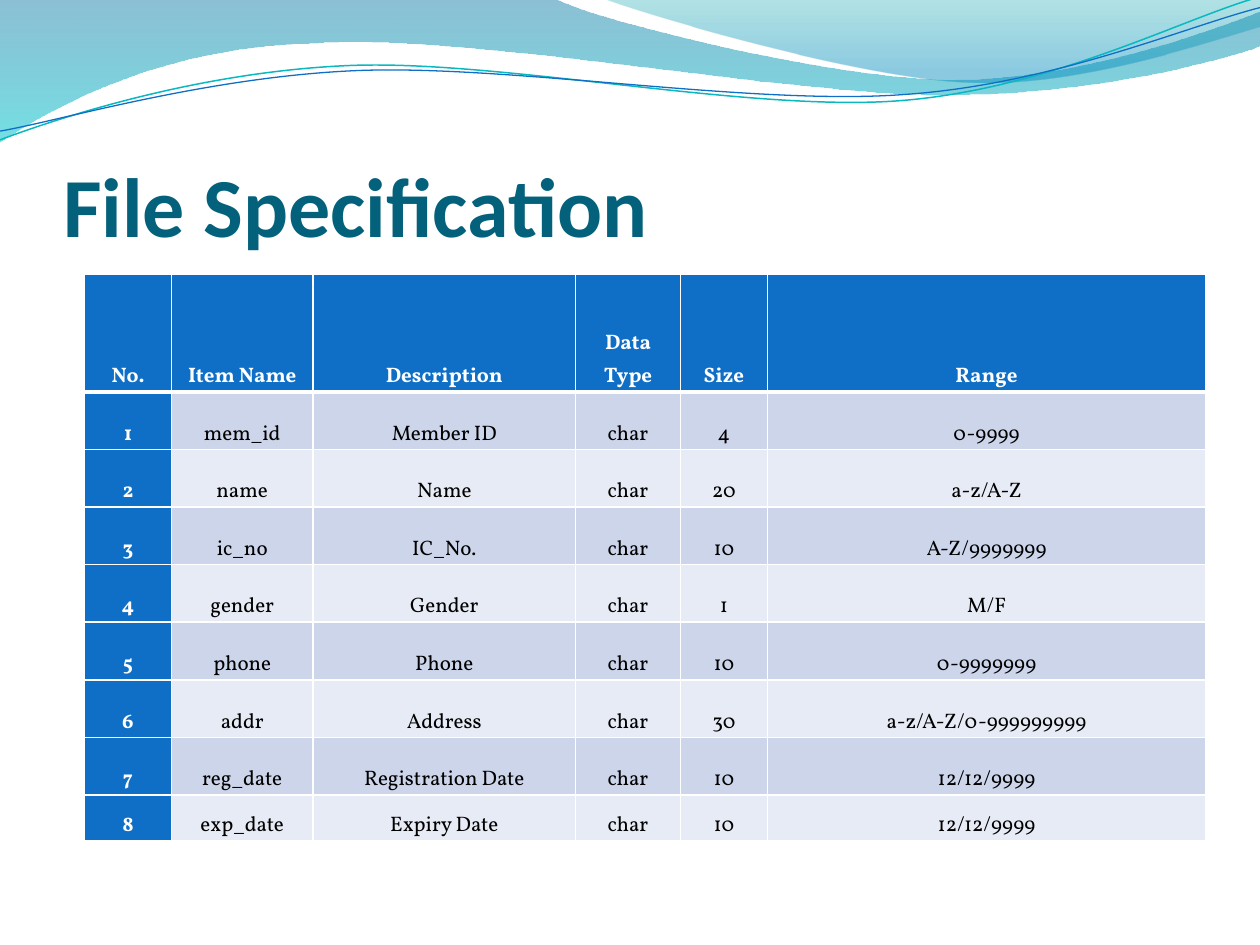
from math import cos, radians, sin

from lxml import etree
from pptx import Presentation
from pptx.dml.color import RGBColor
from pptx.enum.text import MSO_ANCHOR, PP_ALIGN
from pptx.oxml.ns import qn
from pptx.util import Inches, Pt

BOTTOM = MSO_ANCHOR.BOTTOM
LEFT, CENTER = PP_ALIGN.LEFT, PP_ALIGN.CENTER
BLUE, WHITE, BLACK = "0F6FC6", "FFFFFF", "000000"
BANDS = ("CCD5EA", "E7EBF5")
TILT = -2.7

WIDE = 8.9
COLS = (0.69, 1.12, 2.08, 0.83, 0.69, 3.47)
HEIGHTS = [0.93] + [3.2 / 7] * 7 + [0.36]
HEAD = ("No.", "Item Name", "Description", "Data Type", "Size", "Range")
ITEMS = (
    ("mem_id", "Member ID", "4", "0-9999"),
    ("name", "Name", "20", "a-z/A-Z"),
    ("ic_no", "IC_No.", "10", "A-Z/9999999"),
    ("gender", "Gender", "1", "M/F"),
    ("phone", "Phone", "10", "0-9999999"),
    ("addr", "Address", "30", "a-z/A-Z/0-999999999"),
    ("reg_date", "Registration Date", "10", "12/12/9999"),
    ("exp_date", "Expiry Date", "10", "12/12/9999"),
)

# A pair is a straight segment; six numbers are a cubic curve.
BAND = [(0, 0), (4.4, -0.01), (4.76, 0.17, 6.64, 0.63, 7.58, 0.63),
        (8.53, 0.63, 9.58, 0.26, 10, 0.09), (10.01, 0.36),
        (9.83, 0.44, 8.7, 0.76, 7.46, 0.75),
        (6.22, 0.75, 3.82, 0.28, 2.57, 0.34),
        (1.29, 0.36, 0.46, 0.83, -0.01, 1.13), (0, 0)]
CREST = [(4.79, -0.01), (5.09, 0.11, 6.82, 0.62, 7.69, 0.65),
         (8.56, 0.69, 9.61, 0.32, 10, 0.21), (10, 0), (4.79, -0.01)]
TEAL = [(0, 1.11), (0.48, 0.93, 1.58, 0.57, 2.77, 0.52),
        (3.95, 0.47, 5.93, 0.89, 7.13, 0.8),
        (8.33, 0.71, 9.38, 0.15, 9.98, -0.02)]
NAVY = [(0, 1.04), (0.47, 0.96, 1.64, 0.61, 2.83, 0.56),
        (4.03, 0.51, 5.97, 0.84, 7.17, 0.75),
        (8.36, 0.67, 9.41, 0.21, 10, 0.06)]


def color(code):
    """Turn a hex string into a colour."""
    return RGBColor.from_string(code)


def turn(segs, angle, mid):
    """Rotate segments clockwise about a point."""
    c, s = cos(radians(angle)), sin(radians(angle))
    turned = []
    for seg in segs:
        spots = []
        for x, y in zip(seg[::2], seg[1::2]):
            dx, dy = x - mid[0], y - mid[1]
            spots += [mid[0] + c * dx - s * dy, mid[1] + s * dx + c * dy]
        turned.append(tuple(spots))
    return turned


def add_path(shapes, segs, left, top, close):
    """Draw an outline of lines and cubic curves from the given corner."""
    points = [(Inches(left + x), Inches(top + y))
              for seg in segs for x, y in zip(seg[::2], seg[1::2])]
    pen = shapes.build_freeform(*points[0])
    pen.add_line_segments(points[1:], close=close)
    shape = pen.convert_to_shape()
    shape.shadow.inherit = False
    lines = iter(list(shape._element.iter(qn("a:lnTo"))))
    for seg in segs[1:]:
        line = next(lines)
        if len(seg) == 6:
            line.addprevious(curve := etree.Element(qn("a:cubicBezTo")))
            for old in (line, next(lines), next(lines)):
                curve.append(old[0])
                old.getparent().remove(old)
    return shape


def add_wave(shapes, segs, left, top, stops):
    """Draw a filled wave with a translucent downward gradient."""
    shape = add_path(shapes, segs, left, top, True)
    shape.line.fill.background()
    fill = shape.fill
    fill.gradient()
    fill.gradient_angle = 270
    for stop, (place, code, _) in zip(fill.gradient_stops, stops):
        stop.position = place
        stop.color.rgb = color(code)
    tints = shape._element.spPr.iter(qn("a:srgbClr"))
    for tint, (_, _, alpha) in zip(tints, stops):
        etree.SubElement(tint, qn("a:alpha"), val=str(alpha * 1000))


def add_curve(shapes, segs, left, top, mid, code, width):
    """Draw an open curved line, tilted about its middle."""
    shape = add_path(shapes, turn(segs, -TILT, mid), left, top, False)
    shape.rotation = TILT
    shape.fill.background()
    shape.line.color.rgb = color(code)
    shape.line.width = Pt(width)


def add_waves(slide, left, top):
    """Draw the wave header from its top left corner."""
    add_wave(slide.shapes, BAND, left, top,
             [(0, "0074A1", 45), (1, "00C6CF", 55)])
    add_wave(slide.shapes, CREST, left, top,
             [(0, "00A1A9", 30), (0.8, "008BBF", 45)])
    pair = slide.shapes.add_group_shape().shapes
    add_curve(pair, TEAL, left, top, (4.99, 0.58), "0AB8BF", 0.85)
    add_curve(pair, NAVY, left, top, (4.99, 0.59), BLUE, 0.75)


def style(para, font, size, code, bold, align):
    """Format one paragraph."""
    para.alignment = align
    para.font.name = font
    para.font.size = Pt(size)
    para.font.bold = bold
    para.font.color.rgb = color(code)


def set_title(slide, left, top, width, height):
    """Fill and place the title, in front of the waves."""
    title = slide.shapes.title
    title._element.getparent().append(title._element)
    title.left, title.top = Inches(left), Inches(top)
    title.width, title.height = Inches(width), Inches(height)
    frame = title.text_frame
    frame.text = "File Specification"
    frame.vertical_anchor = BOTTOM
    frame.margin_left = frame.margin_right = frame.margin_bottom = 0
    frame.margin_top = Inches(0.05)
    style(frame.paragraphs[0], "Calibri", 48, "04617B", True, LEFT)


def set_edges(cell, row):
    """Give a cell white borders, thick below the header."""
    widths = {"L": 1, "R": 1, "T": 3 if row == 1 else 1,
              "B": 3 if row == 0 else 1}
    props = cell._tc.get_or_add_tcPr()
    for side, width in widths.items():
        line = etree.SubElement(props, qn("a:ln" + side), w=str(Pt(width)))
        fill = etree.SubElement(line, qn("a:solidFill"))
        etree.SubElement(fill, qn("a:srgbClr"), val=WHITE)


def set_cell(cell, text, row, col):
    """Write and format one cell by its place in the grid."""
    label = row == 0 or col == 0
    set_edges(cell, row)
    cell.fill.solid()
    cell.fill.fore_color.rgb = color(BLUE if label else BANDS[(row - 1) % 2])
    cell.vertical_anchor = BOTTOM
    cell.margin_left = cell.margin_right = Inches(0.07)
    cell.margin_top = cell.margin_bottom = 0
    cell.text = text
    para = cell.text_frame.paragraphs[0]
    style(para, "Vollkorn", 12, WHITE if label else BLACK, label, CENTER)
    para.line_spacing = 1.15
    para.space_after = Pt(10)


def add_grid(slide, left, top):
    """Draw the table of file items."""
    rows = [HEAD] + [(str(num), name, desc, "char", size, span)
                     for num, (name, desc, size, span) in enumerate(ITEMS, 1)]
    table = slide.shapes.add_table(
        len(rows), len(COLS), Inches(left), Inches(top),
        Inches(WIDE), Inches(sum(HEIGHTS))).table
    table.first_col = True
    for col, width in zip(table.columns, COLS):
        col.width = Inches(width * WIDE / sum(COLS))
    for row, height in zip(table.rows, HEIGHTS):
        row.height = Inches(height)
    for r, row in enumerate(rows):
        for c, text in enumerate(row):
            set_cell(table.cell(r, c), text, r, c)


def main():
    """Build and save the slide."""
    deck = Presentation()
    deck.slide_width, deck.slide_height = Inches(10), Inches(7.5)
    slide = deck.slides.add_slide(deck.slide_layouts[5])
    add_waves(slide, 0, 0)
    set_title(slide, 0.5, 0.77, 9, 1.25)
    add_grid(slide, 0.67, 2.18)
    deck.save("out.pptx")


main()
